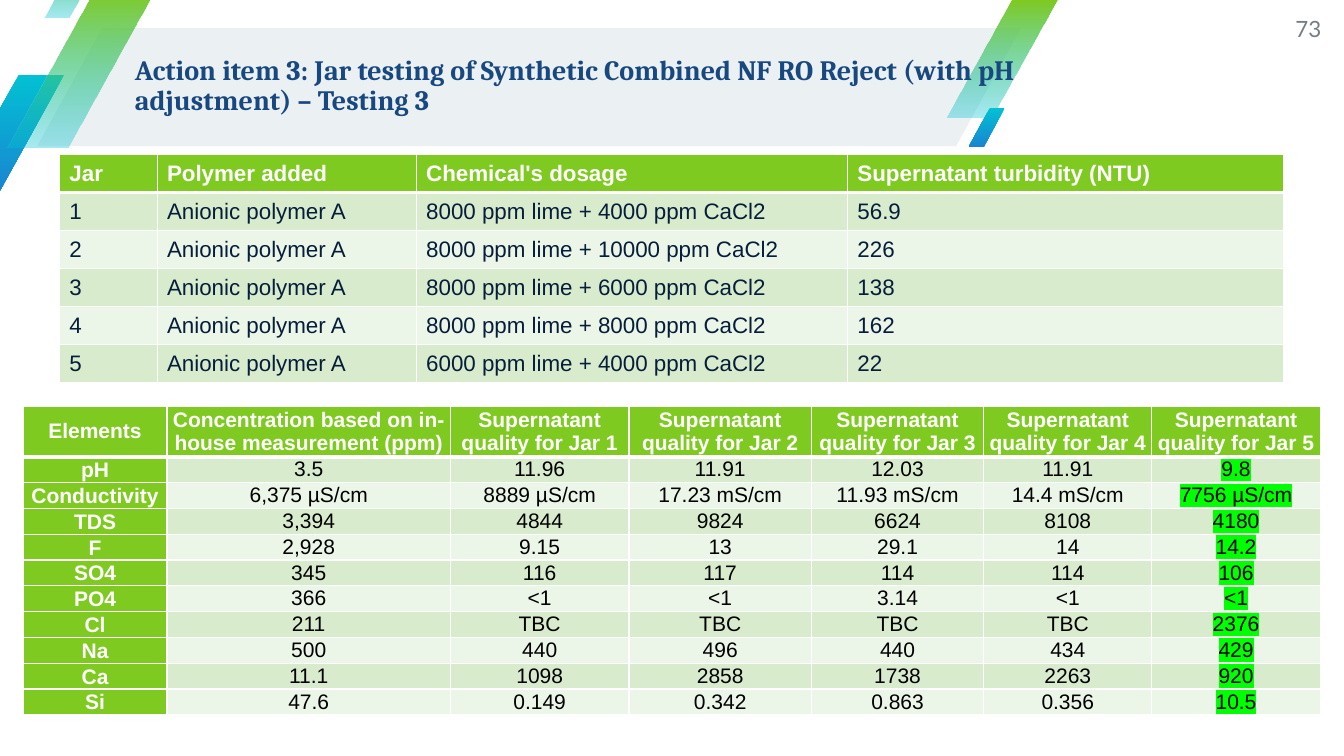
from lxml.etree import SubElement
from pptx import Presentation
from pptx.dml.color import RGBColor
from pptx.enum.shapes import MSO_SHAPE
from pptx.enum.text import MSO_ANCHOR, MSO_AUTO_SIZE, PP_ALIGN
from pptx.oxml.ns import qn
from pptx.util import Cm, Pt

COLORS = {
    "band": "EBF0F3", "green": "7FCA20", "teal": "02C1D3", "blue": "1985D2",
    "title": "184880", "number": "757C83", "white": "FFFFFF", "black": "000000",
    "navy": "061E3A", "odd": "D8ECCD", "even": "ECF6E8", "mark": "00FF00",
}


def add_run(p, text, font, size, color, bold=False):
    r = p.add_run()
    r.text = text
    r.font.name = font
    r.font.size = Pt(size)
    r.font.bold = bold
    r.font.color.rgb = RGBColor.from_string(COLORS[color])
    return r


def add_grid(left, top, widths, heights, rows, size, color, margins, align, bold_first):
    frame = s.shapes.add_table(len(rows), len(widths), Cm(left), Cm(top),
                               Cm(sum(widths)), Cm(sum(heights)))
    table = frame.table
    for column, width in zip(table.columns, widths):
        column.width = Cm(width)
    for i, values in enumerate(rows):
        table.rows[i].height = Cm(heights[i])
        for j, value in enumerate(values):
            cell = table.cell(i, j)
            head = i == 0 or (bold_first and j == 0)
            cell.vertical_anchor = MSO_ANCHOR.MIDDLE
            cell.margin_left = cell.margin_right = Cm(margins[0])
            cell.margin_top = cell.margin_bottom = Cm(margins[1])
            tcPr = cell._tc.get_or_add_tcPr()
            for side in "LRTB":
                thick = (side, i) in (("B", 0), ("T", 1))
                ln = SubElement(tcPr, qn("a:ln" + side), w=str(Pt(3 if thick else 1)))
                SubElement(SubElement(ln, qn("a:solidFill")), qn("a:srgbClr"), val=COLORS["white"])
            cell.fill.solid()
            fill = "green" if head else "odd" if i % 2 else "even"
            cell.fill.fore_color.rgb = RGBColor.from_string(COLORS[fill])
            p = cell.text_frame.paragraphs[0]
            p.alignment = align
            if head and i:
                p.line_spacing = 1.07
            add_run(p, value, "Arial", size, "white" if head else color, head)
    return table


prs = Presentation()
prs.slide_width = Cm(33.87)
prs.slide_height = Cm(19.05)
s = prs.slides.add_slide(prs.slide_layouts[5])

stripes = [
    (0.94, 0.71, 24.79, 2.97, 0.55, "band", None),
    (-1.17, 1.88, 2.79, 2.97, 0.59, "teal", "blue"),
    (23.85, 0, 2.79, 2.97, 0.59, "green", "teal"),
    (0.2, -0.25, 3.71, 3.96, 0.59, "green", "teal"),
    (1.12, -1.22, 1.55, 1.65, 0.59, "green", "teal"),
    (24.41, 2.72, 0.91, 0.99, 0.59, "teal", "blue"),
]
for left, top, width, height, slant, start, end in stripes:
    sp = s.shapes.add_shape(MSO_SHAPE.PARALLELOGRAM, Cm(left), Cm(top), Cm(width), Cm(height))
    sp.adjustments[0] = slant
    sp.shadow.inherit = False
    sp.line.fill.background()
    if end is None:
        sp.fill.solid()
        sp.fill.fore_color.rgb = RGBColor.from_string(COLORS[start])
        continue
    sp.fill.gradient()
    sp.fill.gradient_angle = 270
    for stop, color in zip(sp.fill.gradient_stops, (start, end)):
        stop.color.rgb = RGBColor.from_string(COLORS[color])
    if end == "teal":
        last = list(sp._element.spPr.iter(qn("a:srgbClr")))[-1]
        SubElement(last, qn("a:alpha"), val="34000")

title = s.shapes.title
s.shapes._spTree.append(title._element)
title.left, title.top, title.width, title.height = Cm(3.4), Cm(0.66), Cm(22.33), Cm(3.02)
number = s.shapes.add_textbox(Cm(31.7), Cm(0), Cm(1.6), Cm(1.45))
for sp in (title, number):
    tf = sp.text_frame
    tf.word_wrap = True
    tf.auto_size = MSO_AUTO_SIZE.NONE
    tf.vertical_anchor = MSO_ANCHOR.MIDDLE
    tf.margin_left = tf.margin_right = tf.margin_top = tf.margin_bottom = 0

p = title.text_frame.paragraphs[0]
p.alignment = PP_ALIGN.LEFT
p.line_spacing = 0.9
add_run(p, "Action item 3: Jar testing of Synthetic Combined NF RO Reject "
           "(with pH adjustment) – Testing 3", "Cambria", 20, "title", True)
p = number.text_frame.paragraphs[0]
p.alignment = PP_ALIGN.RIGHT
add_run(p, "73", "Lato", 16, "number")

quality = [
    ["Elements", "Concentration based on in-house measurement (ppm)"]
    + [f"Supernatant quality for Jar {jar}" for jar in range(1, 6)],
    ["pH", "3.5", "11.96", "11.91", "12.03", "11.91", "9.8"],
    ["Conductivity", "6,375 µS/cm", "8889 µS/cm", "17.23 mS/cm", "11.93 mS/cm",
     "14.4 mS/cm", "7756 µS/cm"],
    ["TDS", "3,394", "4844", "9824", "6624", "8108", "4180"],
    ["F", "2,928", "9.15", "13", "29.1", "14", "14.2"],
    ["SO4", "345", "116", "117", "114", "114", "106"],
    ["PO4", "366", "<1", "<1", "3.14", "<1", "<1"],
    ["Cl", "211", "TBC", "TBC", "TBC", "TBC", "2376"],
    ["Na", "500", "440", "496", "440", "434", "429"],
    ["Ca", "11.1", "1098", "2858", "1738", "2263", "920"],
    ["Si", "47.6", "0.149", "0.342", "0.863", "0.356", "10.5"],
]
table = add_grid(0.58, 10.24, [3.63, 7.14, 4.5, 4.6, 4.34, 4.24, 4.24], [1.27] + [0.65] * 10,
                 quality, 15, "black", (0.05, 0), PP_ALIGN.CENTER, True)
for i in range(1, len(quality)):
    r = table.cell(i, 6).text_frame.paragraphs[0].runs[0]
    rPr = r.font._element
    highlight = SubElement(rPr, qn("a:highlight"))
    SubElement(highlight, qn("a:srgbClr"), val=COLORS["mark"])
    rPr.find(qn("a:solidFill")).addnext(highlight)

doses = [(8000, 4000, "56.9"), (8000, 10000, "226"), (8000, 6000, "138"),
         (8000, 8000, "162"), (6000, 4000, "22")]
dosage = [["Jar", "Polymer added", "Chemical's dosage", "Supernatant turbidity (NTU)"]]
for jar, (lime, chloride, turbidity) in enumerate(doses, 1):
    dosage.append([str(jar), "Anionic polymer A",
                   f"{lime} ppm lime + {chloride} ppm CaCl2", turbidity])
add_grid(1.5, 3.89, [2.46, 6.53, 10.87, 11], [0.96] * 6,
         dosage, 16, "navy", (0.25, 0.13), PP_ALIGN.LEFT, False)

prs.save("out.pptx")
